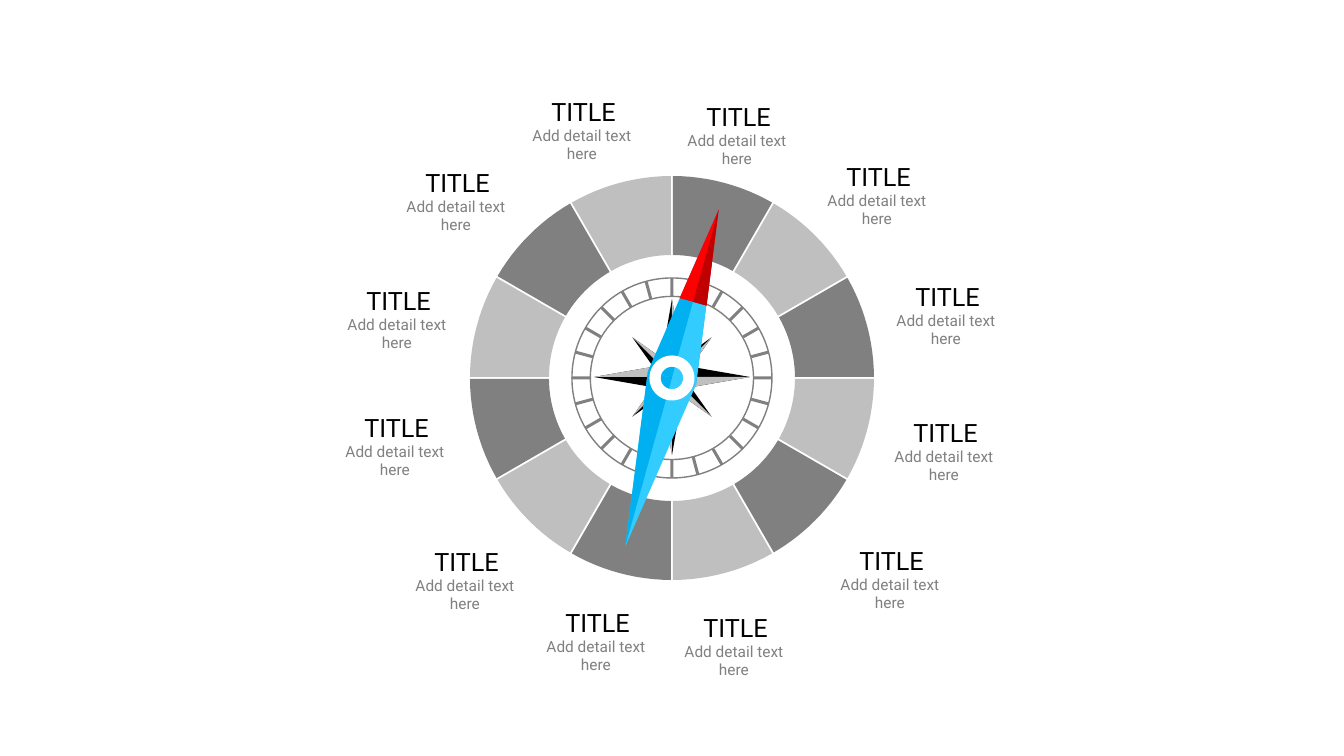
from math import cos, radians, sin, asin, degrees
from pptx import Presentation
from pptx import util as u
from pptx.dml.color import RGBColor
from pptx.enum import shapes, text

HEAD, NOTE = "TITLE", "Add detail text here"
LABELS = [(673, 96), (813, 156), (882, 276), (880, 412), (826, 540), (670, 607),
          (532, 602), (401, 541), (331, 407), (333, 280), (392, 162), (518, 91)]
MID, CORE = (672, 378), (672, 377)
GREY, PALE, BLACK = "808080", "BFBFBF", "000000"
OUTER, INNER, GAP, STEPS = 202, 123, 1, 12
STAR = [(b, 56, 19) for b in (45, 225, 135, 315)] + [(b, 78, 27) for b in (0, 180, 90, 270)]
TILT = 15.5
NEEDLE = [(TILT, 0, 175, 50, "00B0F0", "33CCFF"),
          (TILT + 180, 0, 175, 50, "33CCFF", "00B0F0"),
          (TILT, 79, 175, 28, "FF0000", "C00000")]
FORM = shapes.MSO_SHAPE

deck = Presentation()
SCALE = 914400 / 100.8


def px(n):
    return u.Emu(round(n * SCALE))


def rgb(code):
    return RGBColor.from_string(code)


def polar(hub, r, turn):
    a = radians(turn)
    return hub[0] + r * sin(a), hub[1] - r * cos(a)


def paint(shape, fill):
    shape.shadow.inherit = False
    shape.line.fill.background()
    if fill:
        shape.fill.solid()
        shape.fill.fore_color.rgb = rgb(fill)
    else:
        shape.fill.background()
    return shape


def outline(group, fill, *loops):
    loops = [[(px(x), px(y)) for x, y in loop] for loop in loops]
    pen = group.shapes.build_freeform(*loops[0][0], scale=1.0)
    for i, loop in enumerate(loops):
        if i:
            pen.move_to(*loop[0])
        pen.add_line_segments(loop[1:], close=True)
    return paint(pen.convert_to_shape(), fill)


def preset(group, form, hub, w, h, fill):
    x, y = hub[0] - w / 2, hub[1] - h / 2
    return paint(group.shapes.add_shape(form, px(x), px(y), px(w), px(h)), fill)


def spike(group, hub, turn, base, tip, w, left, right):
    body = preset(group, FORM.ISOSCELES_TRIANGLE, polar(hub, (base + tip) / 2, turn),
                  w, tip - base, left)
    body.rotation = turn
    foot = polar(hub, base, turn)
    outline(group, right, [polar(hub, tip, turn), polar(foot, w / 2, turn + 90), foot])


def label(group, x, y, w, h, words, size, color):
    box = group.shapes.add_textbox(px(x), px(y), px(w), px(h))
    frame = box.text_frame
    frame.word_wrap = True
    frame.auto_size = text.MSO_AUTO_SIZE.SHAPE_TO_FIT_TEXT
    para = frame.paragraphs[0]
    para.text = words
    para.alignment = text.PP_ALIGN.CENTER
    para.font.name = "Roboto"
    para.font.size = u.Pt(size)
    para.font.color.rgb = rgb(color)


def arc(r, start, end):
    trim = degrees(asin(GAP / r))
    start, end = start + trim, end - trim
    return [polar(MID, r, start + (end - start) * i / STEPS) for i in range(STEPS + 1)]


deck.slide_width, deck.slide_height = px(1344), px(756)
slide = deck.slides.add_slide(deck.slide_layouts[6])
wheel, dial, star, needle = [slide.shapes.add_group_shape() for _ in range(4)]

for i in range(12):
    start = 30 * i
    ring = arc(OUTER, start, start + 30) + arc(INNER, start, start + 30)[::-1]
    outline(wheel, (GREY, PALE)[i % 2], ring)

cx, cy = MID
for i in range(12):
    ends = [[(cx - 1.5, y), (cx + 1.5, y), (cx + 1.5, y + 18), (cx - 1.5, y + 18)]
            for y in (cy + 82, cy - 100)]
    outline(dial, GREY, *ends).rotation = 15 * i
rim = preset(dial, FORM.DONUT, MID, 200, 200, None)
rim.adjustments[0] = 0.092
rim.line.color.rgb = rgb(GREY)
rim.line.width = u.Pt(1)

for turn, tip, w in STAR:
    spike(star, CORE, turn, 0, tip, w, BLACK, PALE)
for part in NEEDLE:
    spike(needle, MID, *part)
preset(needle, FORM.DONUT, MID, 45, 45, "FFFFFF")

for x, y in LABELS:
    pair = slide.shapes.add_group_shape()
    label(pair, x, y, 131, 40, HEAD, 18, BLACK)
    label(pair, x - 12, y + 30, 152, 47, NOTE, 11, GREY)

deck.save("out.pptx")
